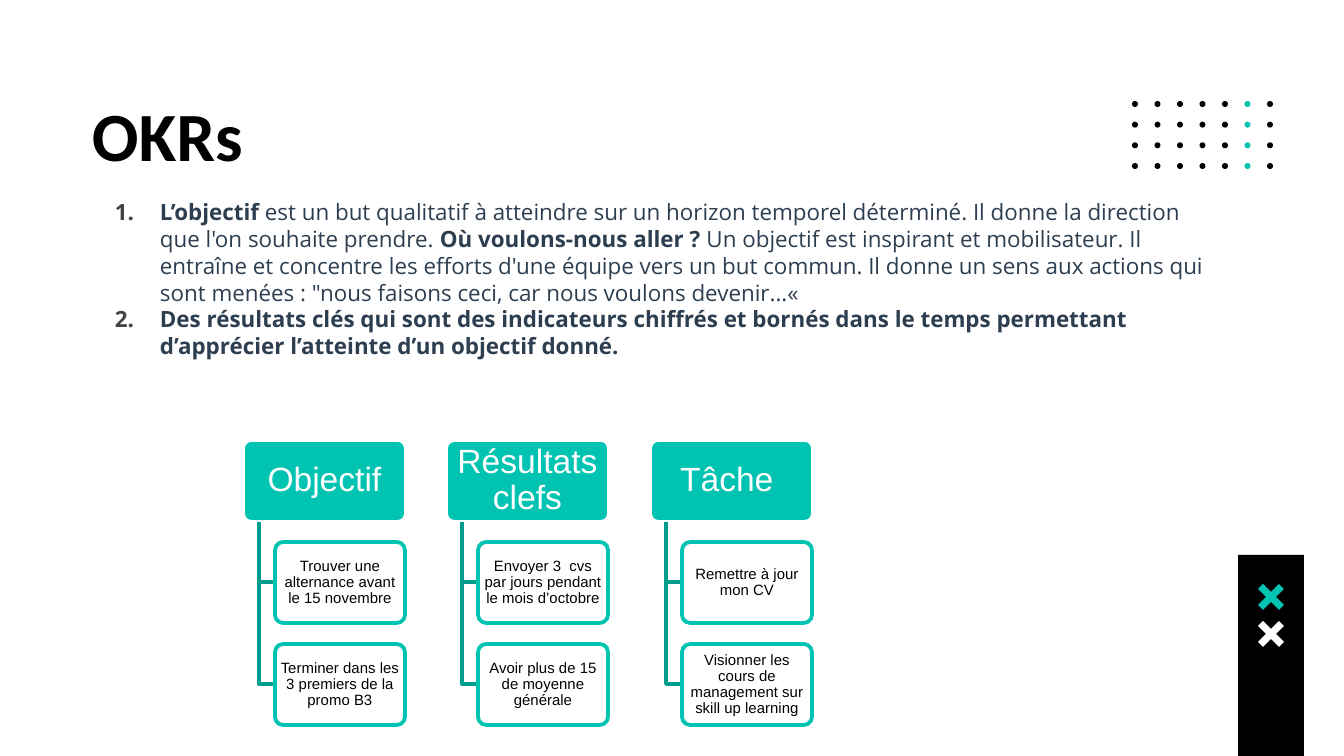
from dataclasses import dataclass

from lxml.etree import SubElement
from pptx import Presentation
from pptx.dml.color import RGBColor
from pptx.enum.shapes import MSO_SHAPE
from pptx.enum.text import MSO_ANCHOR, PP_ALIGN
from pptx.oxml.ns import qn
from pptx.util import Pt

EMU_PER_PX = 914400 / 134.4


@dataclass(frozen=True)
class Theme:
    black: str = "000000"
    white: str = "FFFFFF"
    teal: str = "00C3B1"
    branch: str = "009C8E"
    body: str = "2C3E50"
    number: str = "434343"
    title_font: str = "Calibri"
    body_font: str = "Open Sans"
    diagram_font: str = "Arial"
    title_size: int = 37
    body_size: int = 12
    header_size: int = 18
    card_size: int = 8
    line_width: int = 2


THEME = Theme()

TITLE = "OKRs"
DEFINITIONS = [
    [
        ("L’objectif", True),
        (" est un but qualitatif à atteindre sur un horizon temporel déterminé. "
         "Il donne la direction que l'on souhaite prendre. ", False),
        ("Où voulons-nous aller ? ", True),
        ("Un objectif est inspirant et mobilisateur. Il entraîne et concentre les efforts "
         "d'une équipe vers un but commun. Il donne un sens aux actions qui sont menées : "
         "\"nous faisons ceci, car nous voulons devenir...«", False),
    ],
    [
        ("Des résultats clés qui sont des indicateurs chiffrés et bornés dans le temps "
         "permettant d’apprécier l’atteinte d’un objectif donné.", True),
    ],
]
COLUMNS = [
    ("Objectif", ["Trouver une alternance avant le 15 novembre",
                  "Terminer dans les 3 premiers de la promo B3"]),
    ("Résultats clefs", ["Envoyer 3  cvs par jours pendant le mois d’octobre",
                         "Avoir plus de 15 de moyenne générale"]),
    ("Tâche ", ["Remettre à jour mon CV",
                "Visionner les cours de management sur skill up learning"]),
]

DOT_COLUMNS, DOT_ROWS, TEAL_DOT_COLUMN = 7, 4, 5
CROSS = [(5, 0), (0, 5), (8, 13), (0, 21), (5, 26), (13, 18),
         (21, 26), (26, 21), (18, 13), (26, 5), (21, 0), (13, 8)]
CROSSES = [(584, THEME.teal), (621, THEME.white)]


def px(length):
    return round(length * EMU_PER_PX)


def rgb(color):
    return RGBColor.from_string(color)


def paint(shape, fill=None, line=None):
    shape.shadow.inherit = False
    if fill:
        shape.fill.solid()
        shape.fill.fore_color.rgb = rgb(fill)
    else:
        shape.fill.background()
    if line:
        shape.line.color.rgb = rgb(line)
        shape.line.width = Pt(THEME.line_width)
    else:
        shape.line.fill.background()


def style(font, name, size, color, bold=False):
    font.name, font.size, font.bold = name, Pt(size), bold
    font.color.rgb = rgb(color)


def set_margins(frame, horizontal, vertical):
    frame.word_wrap = True
    frame.margin_left = frame.margin_right = px(horizontal)
    frame.margin_top = frame.margin_bottom = px(vertical)


def add_preset(page, kind, place, fill, line=None):
    shape = page.shapes.add_shape(kind, *map(px, place))
    paint(shape, fill, line)
    return shape


def add_outline(page, points, close, fill=None, line=None):
    builder = page.shapes.build_freeform(*points[0], scale=EMU_PER_PX)
    builder.add_line_segments(points[1:], close=close)
    paint(builder.convert_to_shape(), fill, line)


def add_text_box(page, place):
    frame = page.shapes.add_textbox(*map(px, place)).text_frame
    set_margins(frame, 13, 13)
    return frame


def add_rounded_box(page, place, text, size, color, fill, line, margins):
    box = add_preset(page, MSO_SHAPE.ROUNDED_RECTANGLE, place, fill, line)
    box.adjustments[0] = 0.1
    frame = box.text_frame
    set_margins(frame, *margins)
    frame.vertical_anchor = MSO_ANCHOR.MIDDLE
    frame.text = text
    para = frame.paragraphs[0]
    para.alignment = PP_ALIGN.CENTER
    para.line_spacing = 0.9
    style(para.runs[0].font, THEME.diagram_font, size, color)
    return box


def add_decoration(page):
    for row in range(DOT_ROWS):
        for column in range(DOT_COLUMNS):
            color = THEME.teal if column == TEAL_DOT_COLUMN else THEME.black
            place = (1132 + column * 135 / 6, 101 + row * 62 / 3, 6, 6)
            add_preset(page, MSO_SHAPE.OVAL, place, color)
    add_preset(page, MSO_SHAPE.RECTANGLE, (1238, 555, 66, 201), THEME.black)
    for top, color in CROSSES:
        add_outline(page, [(1258 + x, top + y) for x, y in CROSS], True, fill=color)


def add_number(para):
    properties = para._p.get_or_add_pPr()
    properties.set("marL", str(px(68)))
    properties.set("indent", str(px(-45)))
    bullet_color = SubElement(properties, qn("a:buClr"))
    SubElement(bullet_color, qn("a:srgbClr"), val=THEME.number)
    SubElement(properties, qn("a:buFont"), typeface=THEME.body_font)
    SubElement(properties, qn("a:buAutoNum"), type="arabicPeriod")


def add_definitions(page):
    frame = add_text_box(page, (79, 185, 1191, 495))
    frame.margin_right = px(55)
    for index, spans in enumerate(DEFINITIONS):
        para = frame.add_paragraph() if index else frame.paragraphs[0]
        add_number(para)
        para.line_spacing = 1.0
        for text, bold in spans:
            span = para.add_run()
            span.text = text
            style(span.font, THEME.body_font, THEME.body_size, THEME.body, bold)


def add_column(page, left, header, cards):
    add_rounded_box(page, (left, 440, 163, 82), header, THEME.header_size,
                    THEME.white, THEME.teal, THEME.white, (5, 4))
    trunk, card_left = left + 16, left + 32
    for index, text in enumerate(cards):
        top = 542 + index * 102
        middle = top + 40
        add_outline(page, [(trunk, 522), (trunk, middle), (card_left, middle)],
                    False, line=THEME.branch)
        card = add_rounded_box(page, (card_left, top, 130, 81), text, THEME.card_size,
                               THEME.black, THEME.white, THEME.teal, (3, 2))
        fill_color = card.fill._xPr.find(qn("a:solidFill"))[0]
        SubElement(fill_color, qn("a:alpha"), val="90000")


def main():
    deck = Presentation()
    deck.slide_width, deck.slide_height = px(1344), px(756)
    page = deck.slides.add_slide(deck.slide_layouts[6])
    add_decoration(page)
    title = add_text_box(page, (79, 79, 1191, 106))
    title.text = TITLE
    style(title.paragraphs[0].runs[0].font, THEME.title_font, THEME.title_size,
          THEME.black, True)
    add_definitions(page)
    for index, (header, cards) in enumerate(COLUMNS):
        add_column(page, 243 + index * 407 // 2, header, cards)
    deck.save("out.pptx")


if __name__ == "__main__":
    main()
